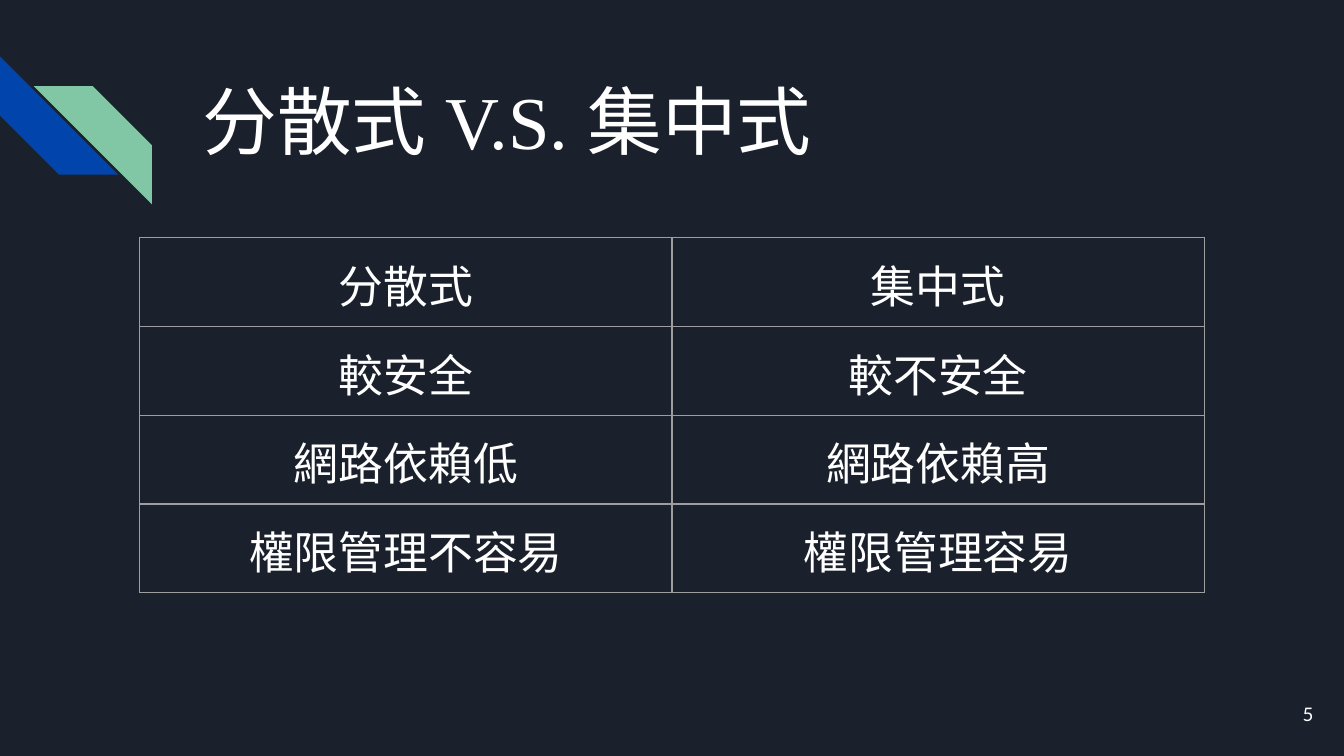
"""Build a slide comparing distributed and centralised systems in a table."""
from lxml import etree
from pptx import Presentation
from pptx.dml.color import RGBColor
from pptx.enum.shapes import MSO_SHAPE
from pptx.enum.text import MSO_ANCHOR, PP_ALIGN
from pptx.oxml.ns import qn
from pptx.util import Inches, Pt

STRIPE = MSO_SHAPE.DIAGONAL_STRIPE
CENTER, RIGHT = PP_ALIGN.CENTER, PP_ALIGN.RIGHT
TOP, MIDDLE = MSO_ANCHOR.TOP, MSO_ANCHOR.MIDDLE
WHITE, GREY = "FFFFFF", "9E9E9E"
MARGIN = Inches(0.1)
COLUMN_WIDTH, ROW_HEIGHT = Inches(3.96), Inches(0.42)


def color(value):
    return RGBColor.from_string(value)


def format_run(run, size, font="Lato"):
    run.font.size = Pt(size)
    run.font.color.rgb = color(WHITE)
    run.font.name = font
    etree.SubElement(run.font._element, qn("a:ea"), typeface=font)


presentation = Presentation()
presentation.slide_width = Inches(10)
presentation.slide_height = presentation.slide_width * 9 // 16
slide = presentation.slides.add_slide(presentation.slide_layouts[6])
slide.background.fill.solid()
slide.background.fill.fore_color.rgb = color("1B212C")

stripes = [(0, 0.42, "0145AC", 270, False), (0.25, 0.64, "82C7A5", 0, True)]
for left, top, fill, rotation, flipped in stripes:
    stripe = slide.shapes.add_shape(
        STRIPE, Inches(left), Inches(top), Inches(0.88), Inches(0.88))
    stripe.shadow.inherit = False
    stripe.fill.solid()
    stripe.fill.fore_color.rgb = color(fill)
    stripe.line.fill.background()
    stripe.rotation = rotation
    if flipped:
        stripe._element.spPr.xfrm.set("flipH", "1")

title_runs = [("分散式 ", "Lato"), ("V.S.", "Times New Roman"), (" 集中式", "Lato")]
text_boxes = [
    ((9.27, 5.1, 0.6, 0.43), MIDDLE, RIGHT, 10, [("5", "Lato")]),
    ((1.41, 0.46, 7.7, 1), TOP, None, 40, title_runs),
]
for box, anchor, alignment, size, runs in text_boxes:
    text_frame = slide.shapes.add_textbox(*map(Inches, box)).text_frame
    text_frame.word_wrap = True
    text_frame.vertical_anchor = anchor
    text_frame.margin_left = text_frame.margin_right = MARGIN
    text_frame.margin_top = text_frame.margin_bottom = MARGIN
    paragraph = text_frame.paragraphs[0]
    paragraph.alignment = alignment
    for text, font in runs:
        run = paragraph.add_run()
        run.text = text
        format_run(run, size, font)

comparison = [
    ("分散式", "集中式"),
    ("較安全", "較不安全"),
    ("網路依賴低", "網路依賴高"),
    ("權限管理不容易", "權限管理容易"),
]
table = slide.shapes.add_table(
    len(comparison), 2, Inches(1.04), Inches(1.77),
    2 * COLUMN_WIDTH, len(comparison) * ROW_HEIGHT).table
table.first_row = table.horz_banding = False
for row, texts in enumerate(comparison):
    for column, text in enumerate(texts):
        cell = table.cell(row, column)
        cell.text_frame.text = text
        cell.margin_left = cell.margin_right = MARGIN
        cell.margin_top = cell.margin_bottom = MARGIN
        paragraph = cell.text_frame.paragraphs[0]
        paragraph.alignment = CENTER
        paragraph.line_spacing = 1.15
        format_run(paragraph.runs[0], 24)
        properties = cell._tc.get_or_add_tcPr()
        for side in ("lnL", "lnR", "lnT", "lnB"):
            border = etree.SubElement(properties, qn(f"a:{side}"), w=str(Pt(0.75)))
            border_fill = etree.SubElement(border, qn("a:solidFill"))
            etree.SubElement(border_fill, qn("a:srgbClr"), val=GREY)
        cell.fill.background()

presentation.save("out.pptx")
